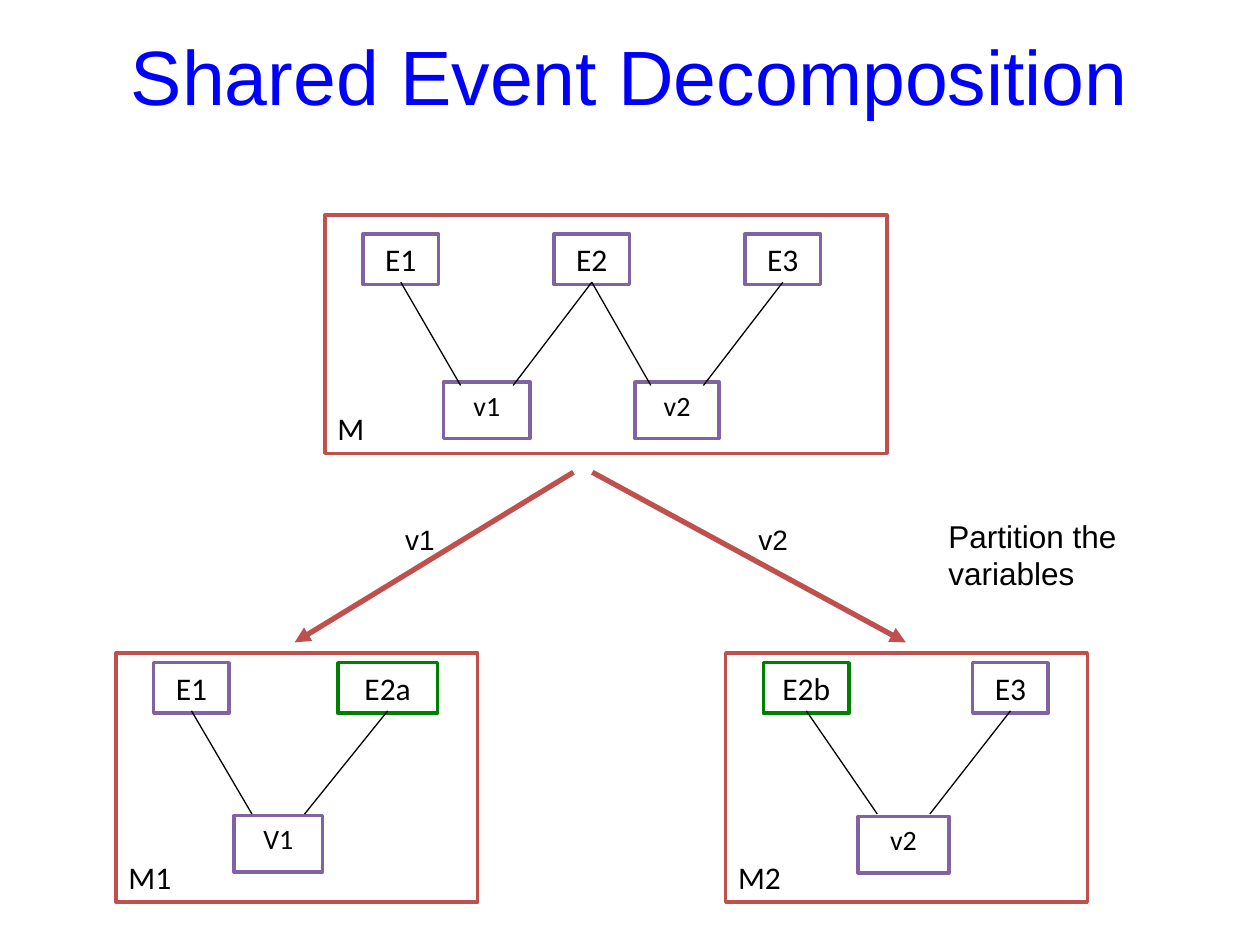
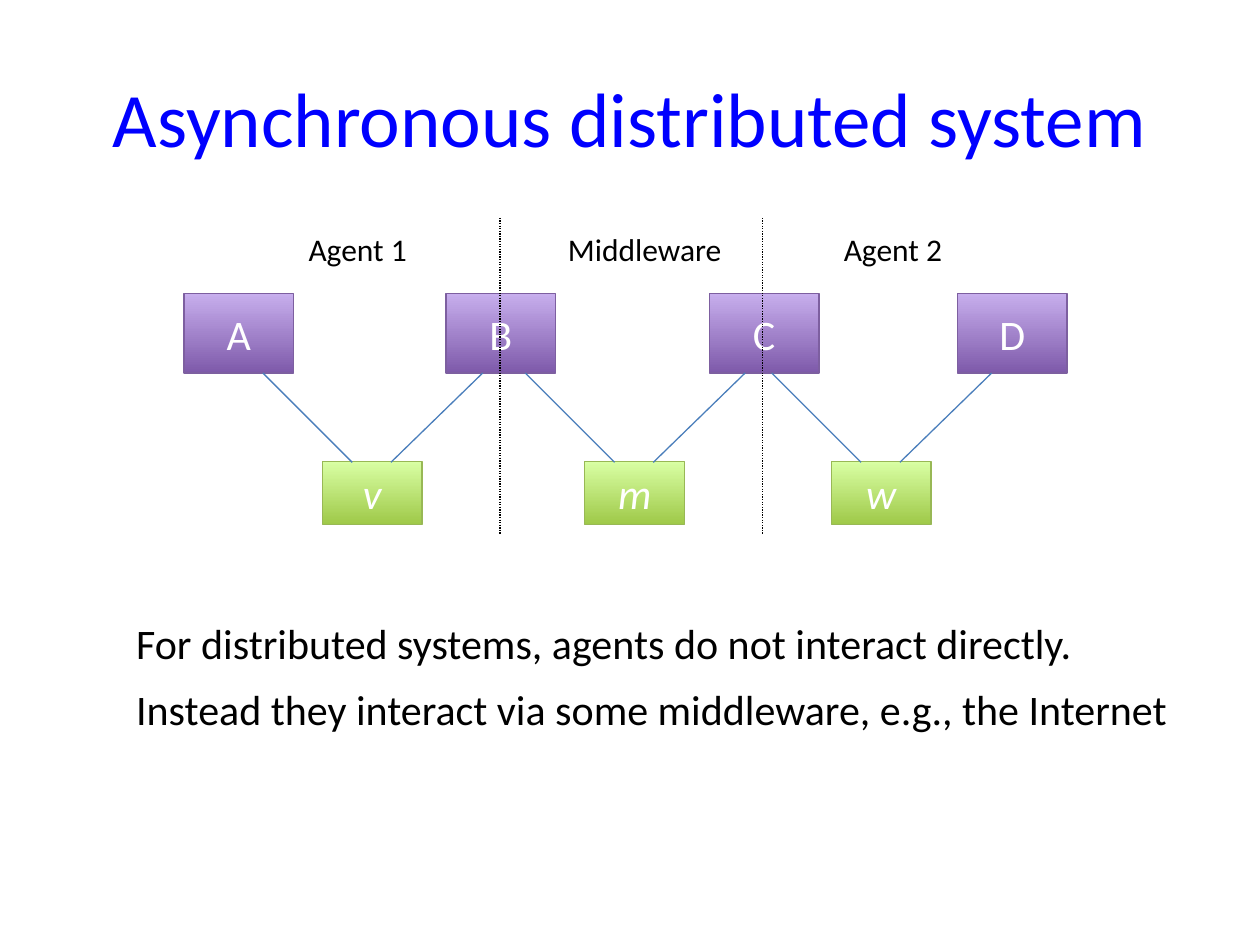
import pptx
import pptx.util
import pptx.dml.color
import pptx.enum.dml
import pptx.enum.shapes
import pptx.enum.text
import pptx.oxml.ns
import lxml.etree

Cm = pptx.util.Cm
Pt = pptx.util.Pt
RGB = pptx.dml.color.RGBColor
Align = pptx.enum.text.PP_ALIGN
Anchor = pptx.enum.text.MSO_ANCHOR
qn = pptx.oxml.ns.qn

BLACK = RGB(0x00, 0x00, 0x00)
WHITE = RGB(0xFF, 0xFF, 0xFF)
BLUE = RGB(0x00, 0x00, 0xFF)
STEEL = RGB(0x4A, 0x7E, 0xBB)
PURPLE = RGB(0x80, 0x64, 0xA2)
GREEN = RGB(0x00, 0x80, 0x00)
RED = RGB(0xC0, 0x50, 0x4D)
VIOLET = (RGB(0x7E, 0x5A, 0xAA), RGB(0xC7, 0xAE, 0xED))
VEDGE = RGB(0x7D, 0x5F, 0xA0)
LIME = (RGB(0x9F, 0xC9, 0x49), RGB(0xD9, 0xFF, 0xA4))
LEDGE = RGB(0x98, 0xB8, 0x55)
SANS, BODY = "Arial", "Calibri"

MODELS = [
    dict(name="M", frame=(6.55, 4.34, 11.33, 4.8), top=4.72, drop=2.98,
         events=[("E1", 7.32, 1.52, PURPLE), ("E2", 11.17, 1.52, PURPLE),
                 ("E3", 15.02, 1.52, PURPLE)],
         vars=[("v1", 8.94, 1.75), ("v2", 12.8, 1.7)]),
    dict(name="M1", frame=(2.34, 13.16, 7.29, 5.03), top=13.36, drop=3.08,
         events=[("E1", 3.1, 1.52, PURPLE), ("E2a", 6.81, 2.01, GREEN)],
         vars=[("V1", 4.72, 1.78)]),
    dict(name="M2", frame=(14.63, 13.16, 7.29, 5.03), top=13.36, drop=3.1,
         events=[("E2b", 15.39, 1.73, GREEN), ("E3", 19.61, 1.52, PURPLE)],
         vars=[("v2", 17.3, 1.83)]),
]
ARROWS = [(11.56, 9.52, 5.94, 12.95), (11.94, 9.52, 18.26, 12.95)]
NOTES = [("v1", (7.92, 10.41, 1.98, 1.6), 16),
         ("v2", (15.04, 10.41, 1.68, 1.6), 16),
         ("Partition the variables", (18.87, 10.29, 6.5, 1), 18)]

NODES = [("A", 3.71), ("B", 8.99), ("C", 14.3), ("D", 19.3)]
STATES = [("v", 6.5), ("m", 11.79), ("w", 16.76)]
ZONES = [("Agent 1", 5.97, 3), ("Middleware", 11.2, 4.17),
         ("Agent 2", 16.76, 3)]
SPLITS = [10.08, 15.37]
POINTS = ["For distributed systems, agents do not interact directly.",
          "Instead they interact via some middleware, e.g., the Internet"]


def write(para, text, size, color=BLACK, font=BODY, align=Align.LEFT,
          italic=False):
    para.alignment = align
    run = para.add_run()
    run.text = text
    run.font.size = Pt(size)
    run.font.name = font
    run.font.color.rgb = color
    run.font.italic = italic


def place(shape, area):
    shape.left, shape.top, shape.width, shape.height = map(Cm, area)


def start(deck, layout, title, area, font):
    slide = deck.slides.add_slide(deck.slide_layouts[layout])
    head = slide.shapes.title
    place(head, area)
    head.text_frame.vertical_anchor = Anchor.MIDDLE
    write(head.text_frame.paragraphs[0], title, 44, BLUE, font, Align.CENTER)
    return slide


def box(slide, area, edge, width, text, size, fill=None, color=BLACK,
        align=Align.CENTER, anchor=Anchor.TOP, italic=False):
    rect = slide.shapes.add_shape(pptx.enum.shapes.MSO_SHAPE.RECTANGLE,
                                  *map(Cm, area))
    rect.shadow.inherit = False
    rect.line.color.rgb = edge
    rect.line.width = Pt(width)
    if fill is None:
        rect.fill.background()
    elif isinstance(fill, RGB):
        rect.fill.solid()
        rect.fill.fore_color.rgb = fill
    else:
        rect.fill.gradient()
        rect.fill.gradient_angle = 90
        for stop, pos, tone in zip(rect.fill.gradient_stops, (0, 1), fill):
            stop.position = pos
            stop.color.rgb = tone
    rect.text_frame.vertical_anchor = anchor
    write(rect.text_frame.paragraphs[0], text, size, color, align=align,
          italic=italic)


def label(slide, area, text, size, font):
    frame = slide.shapes.add_textbox(*map(Cm, area)).text_frame
    frame.word_wrap = True
    write(frame.paragraphs[0], text, size, font=font)


def link(slide, ends, color, width=0.75, arrow=False, dash=None):
    line = slide.shapes.add_connector(
        pptx.enum.shapes.MSO_CONNECTOR.STRAIGHT, *map(Cm, ends))
    line.line.color.rgb = color
    line.line.width = Pt(width)
    if dash:
        line.line.dash_style = dash
    if arrow:
        lxml.etree.SubElement(line.line._get_or_add_ln(), qn("a:tailEnd"),
                              type="triangle")
    lxml.etree.SubElement(line._element.spPr, qn("a:effectLst"))


def model(slide, name, frame, top, drop, events, vars):
    for text, left, width, edge in events:
        box(slide, (left, top, width, 1.02), edge, 2, text, 18, WHITE)
    mids = [left + width / 2 for _, left, width, _ in events]
    for i, (text, left, width) in enumerate(vars):
        box(slide, (left, top + drop, width, 1.14), PURPLE, 2, text, 16, WHITE)
        mid = left + width / 2
        for event, shift in ((mids[i], -0.53), (mids[i + 1], 0.53)):
            link(slide, (event, top + 0.97, mid + shift, top + 3.05), BLACK)
    box(slide, frame, RED, 2, name, 18, align=Align.LEFT,
        anchor=Anchor.BOTTOM)


def shared(deck):
    slide = start(deck, 5, "Shared Event Decomposition",
                  (1.27, 0.36, 22.86, 2.3), SANS)
    for item in MODELS:
        model(slide, **item)
    for ends in ARROWS:
        link(slide, ends, RED, 3, arrow=True)
    for text, area, size in NOTES:
        label(slide, area, text, size, SANS)


def system(deck):
    slide = start(deck, 1, "Asynchronous distributed system",
                  (1.27, 0.36, 22.86, 3.99), BODY)
    for text, left in NODES:
        box(slide, (left, 5.92, 2.21, 1.6), VEDGE, 0.75, text, 24, VIOLET,
            WHITE, anchor=Anchor.MIDDLE)
    for text, left in STATES:
        box(slide, (left, 9.3, 2.01, 1.27), LEDGE, 0.75, text, 24, LIME,
            WHITE, anchor=Anchor.MIDDLE, italic=True)
        mid = left + 1
        for shift, run in ((-0.4, -1.8), (0.38, 1.85)):
            link(slide, (mid + shift + run, 7.52, mid + shift, 9.32), STEEL)
    for text, left, width in ZONES:
        label(slide, (left, 4.52, width, 1.02), text, 18, BODY)
    for x in SPLITS:
        link(slide, (x, 4.39, x, 10.77), BLACK,
             dash=pptx.enum.dml.MSO_LINE.ROUND_DOT)

    body = slide.placeholders[1]
    place(body, (2.49, 12.32, 21.64, 4.62))
    frame = body.text_frame
    frame.auto_size = pptx.enum.text.MSO_AUTO_SIZE.NONE
    for i, text in enumerate(POINTS):
        para = frame.add_paragraph() if i else frame.paragraphs[0]
        para.space_before = Pt(9)
        write(para, text, 24)
        props = para._p.get_or_add_pPr()
        props.set("marL", "0")
        props.set("indent", "0")
        lxml.etree.SubElement(props, qn("a:buNone"))


def main():
    deck = pptx.Presentation()
    deck.slide_width, deck.slide_height = Cm(25.4), Cm(19.05)
    shared(deck)
    system(deck)
    deck.save("out.pptx")


if __name__ == "__main__":
    main()
